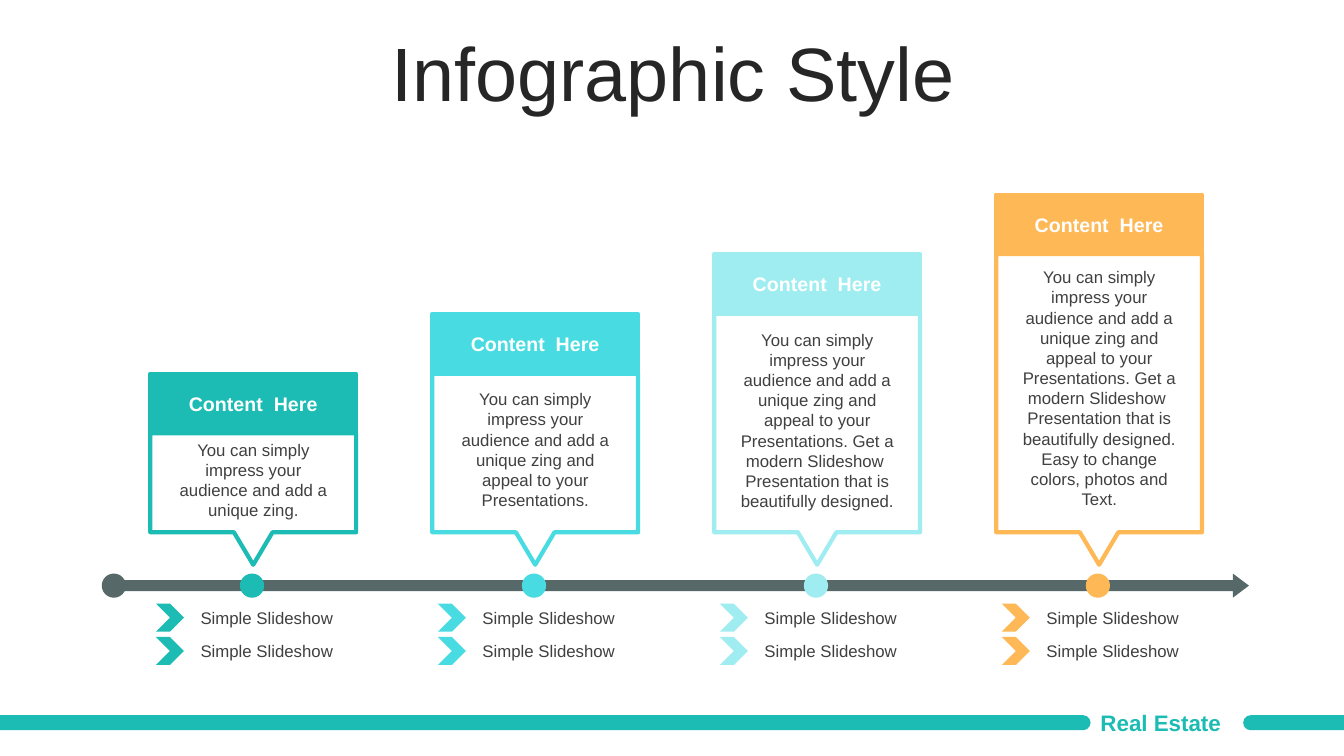
import dataclasses

import pptx
import pptx.dml.color
import pptx.enum.shapes
import pptx.enum.text
import pptx.util

Pt = pptx.util.Pt
Kind = pptx.enum.shapes.MSO_SHAPE
Align = pptx.enum.text.PP_ALIGN
Anchor = pptx.enum.text.MSO_ANCHOR
Fit = pptx.enum.text.MSO_AUTO_SIZE


@dataclasses.dataclass(frozen=True)
class Theme:
    font: str = "Arial"
    title: str = "262626"
    text: str = "404040"
    white: str = "FFFFFF"
    axis: str = "576868"
    brand: str = "1CBBB4"
    steps: tuple = ("1CBBB4", "48DCE2", "9FEDF0", "FEB856")
    title_size: int = 54
    foot_size: int = 16
    head_size: int = 14
    body_size: int = 12
    line: int = 3


THEME = Theme()

START = "You can simply impress your audience and add a unique zing"
APPEAL = START + " and appeal to your Presentations."
MODERN = APPEAL + " Get a modern Slideshow  Presentation that is beautifully designed."
FULL = MODERN + " Easy to change colors, photos and Text."

# Text, top of its box, number of lines
NOTES = [(START + ".", 310.3, 4), (APPEAL, 274.3, 6), (MODERN, 231.8, 9), (FULL, 187.2, 12)]

LEFT, PITCH, WIDTH = 107.4, 201.4, 147
TOP, RISE, HEAD = 267, 42.65, 42.5
BASE, TIP = 380.2, 403.4
AXIS, DOT = 409.7, 17.3


def rgb(color):
    return pptx.dml.color.RGBColor.from_string(color)


def style(frame, size, color, bold=False, align=Align.CENTER):
    for para in frame.paragraphs:
        para.alignment = align
        for run in para.runs:
            font = run.font
            font.name, font.size, font.bold = THEME.font, Pt(size), bold
            font.color.rgb = rgb(color)


def label(shapes, text, box, size, color, bold=False, align=Align.CENTER, anchor=Anchor.TOP):
    frame = shapes.add_textbox(*map(Pt, box)).text_frame
    frame.text = text
    frame.word_wrap = True
    frame.auto_size = Fit.SHAPE_TO_FIT_TEXT
    frame.vertical_anchor = anchor
    style(frame, size, color, bold, align)


def solid(shapes, kind, box, color):
    shape = shapes.add_shape(kind, *map(Pt, box))
    shape.shadow.inherit = False
    shape.fill.solid()
    shape.fill.fore_color.rgb = rgb(color)
    shape.line.fill.background()
    return shape


def edge(shape, color):
    shape.line.color.rgb = rgb(color)
    shape.line.width = Pt(THEME.line)


def bar(shapes, left, length, turn):
    """Draw a footer strip with one round end, as an upright shape turned on its side."""
    thick, mid = 10.8, 516.2
    box = (left + (length - thick) / 2, mid - length / 2, thick, length)
    shape = solid(shapes, Kind.ROUND_2_SAME_RECTANGLE, box, THEME.brand)
    shape.adjustments[0] = 0.5
    shape.rotation = turn


def callout(shapes, left, top, color):
    """Draw the open frame whose lower edge points at the axis."""
    right = left + WIDTH
    points = [(right, top), (right, BASE), (left + 87.3, BASE), (left + 73.5, TIP),
              (left + 59.7, BASE), (left, BASE)]
    path = shapes.build_freeform(Pt(left), Pt(top))
    path.add_line_segments([(Pt(x), Pt(y)) for x, y in points], close=True)
    shape = path.convert_to_shape()
    shape.shadow.inherit = False
    shape.fill.background()
    edge(shape, color)


def card(shapes, left, top, color, note):
    text, start, lines = note
    callout(shapes, left, top + HEAD, color)
    edge(solid(shapes, Kind.RECTANGLE, (left, top, WIDTH, HEAD), color), color)
    label(shapes, "Content  Here", (left + 5.8, top + 9, 135.4, 24.5),
          THEME.head_size, THEME.white, bold=True, anchor=Anchor.MIDDLE)
    label(shapes, text, (left + 11, start, 125.3, 7.4 + 14.5 * lines),
          THEME.body_size, THEME.text)


def axis(slide, lefts):
    shapes = slide.shapes.add_group_shape().shapes
    arrow = solid(shapes, Kind.RIGHT_ARROW, (87.1, AXIS, 805, DOT), THEME.axis)
    arrow.adjustments[0], arrow.adjustments[1] = 0.451, 0.666
    solid(shapes, Kind.OVAL, (72.7, AXIS, DOT, DOT), THEME.axis)
    for left, color in zip(lefts, THEME.steps):
        solid(shapes, Kind.OVAL, (left + 64, AXIS, DOT, DOT), color)


def points(slide, left, color):
    shapes = slide.shapes.add_group_shape().shapes
    for top in (431.2, 455):
        solid(shapes, Kind.CHEVRON, (left + 4, top, 20, 20), color)
        label(shapes, "Simple Slideshow", (left + 23.8, top - 1, 118.8, 21.8),
              THEME.body_size, THEME.text)


def heading(slide, text):
    title = slide.shapes.title
    title.left, title.top, title.width, title.height = map(Pt, (25.2, 26.6, 911.5, 56.9))
    frame = title.text_frame
    frame.text = text
    frame.auto_size = Fit.NONE
    frame.vertical_anchor = Anchor.MIDDLE
    frame.paragraphs[0].line_spacing = 0.9
    style(frame, THEME.title_size, THEME.title)


def footer(shapes):
    bar(shapes, 0, 779, 90)
    bar(shapes, 888, 72, 270)
    label(shapes, "Real Estate", (779, 502.6, 108.7, 26.6), THEME.foot_size,
          THEME.brand, bold=True, align=Align.JUSTIFY, anchor=Anchor.MIDDLE)


def main():
    deck = pptx.Presentation()
    deck.slide_width, deck.slide_height = Pt(960), Pt(540)
    slide = deck.slides.add_slide(deck.slide_layouts[5])
    lefts = [LEFT + PITCH * i for i in range(len(NOTES))]

    footer(slide.shapes)
    heading(slide, "Infographic Style")
    axis(slide, lefts)
    for i, (left, color, note) in enumerate(zip(lefts, THEME.steps, NOTES)):
        card(slide.shapes, left, TOP - RISE * i, color, note)
        points(slide, left, color)
    deck.save("out.pptx")


if __name__ == "__main__":
    main()
